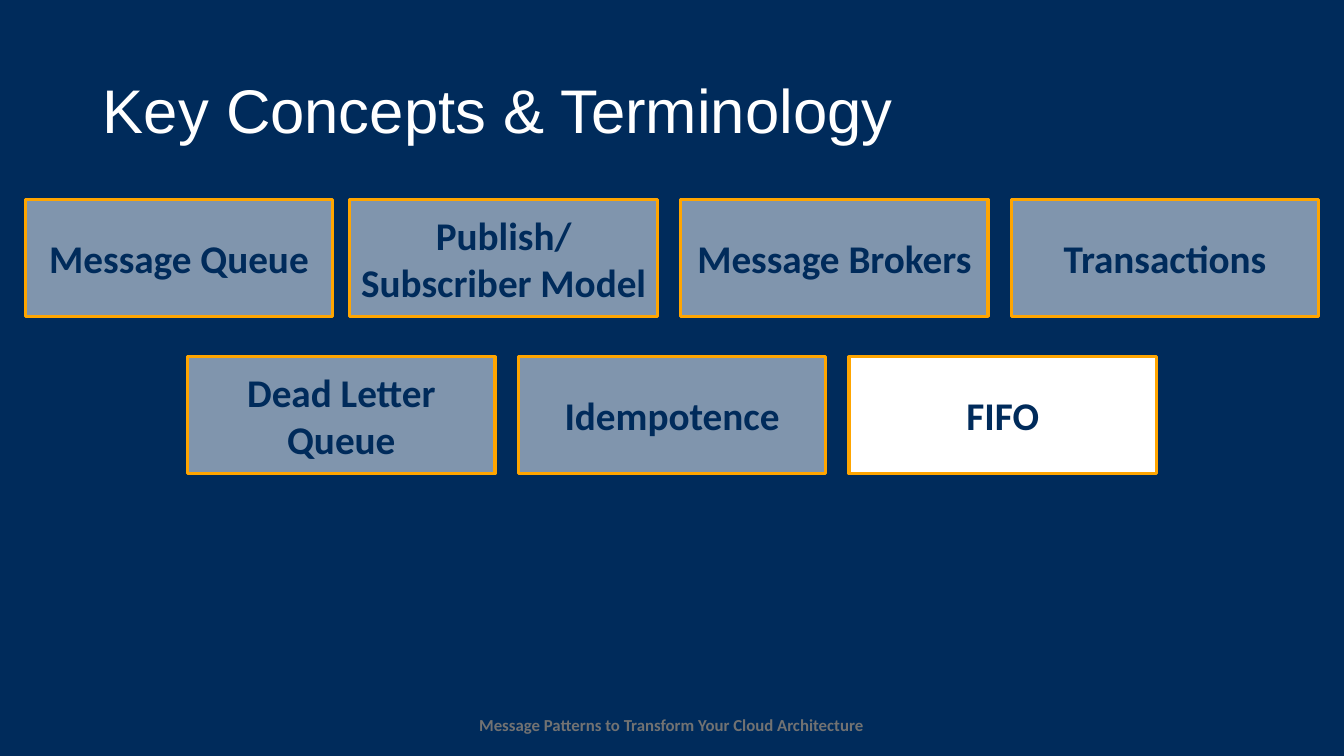
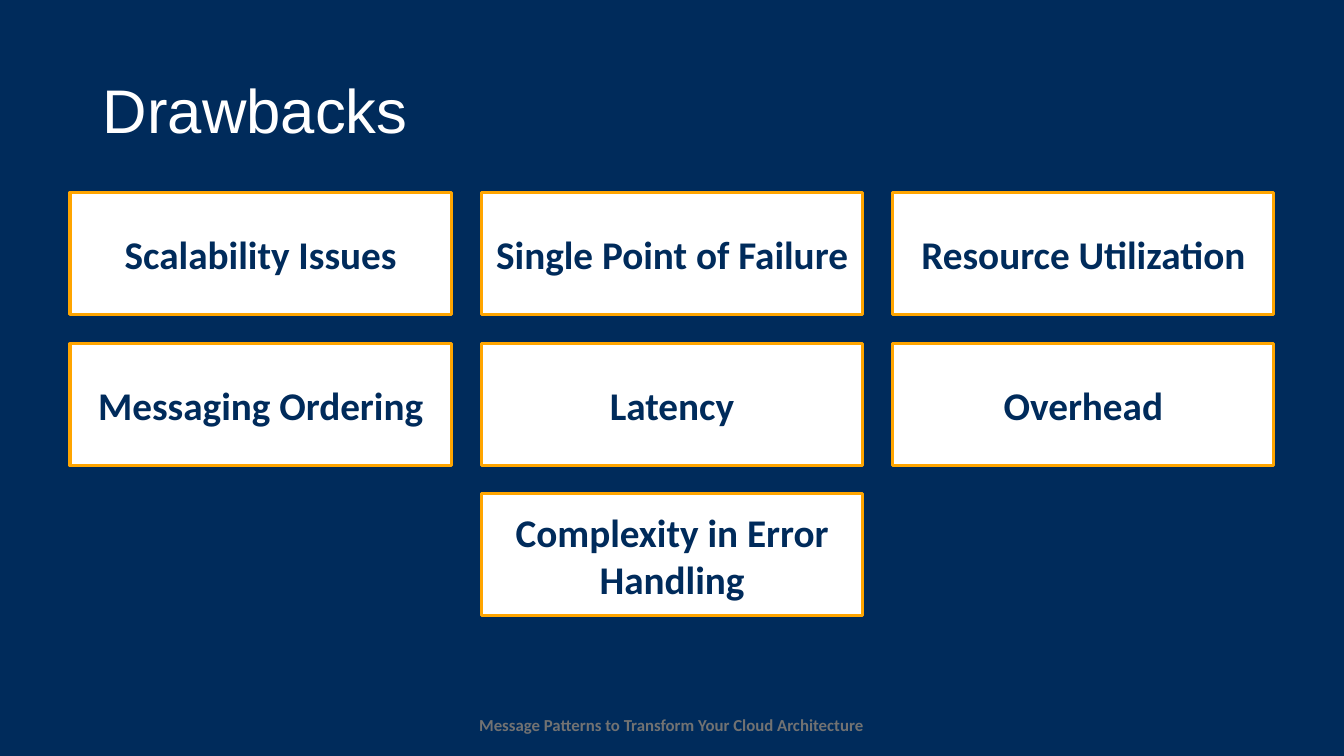
from dataclasses import dataclass
from typing import Optional

from lxml.etree import SubElement
from pptx import Presentation
from pptx.dml.color import RGBColor
from pptx.enum.shapes import MSO_SHAPE
from pptx.enum.text import MSO_ANCHOR, MSO_AUTO_SIZE, PP_ALIGN
from pptx.oxml.ns import qn
from pptx.presentation import Presentation as Deck
from pptx.shapes.autoshape import Shape
from pptx.slide import Slide
from pptx.text.text import TextFrame
from pptx.util import Inches, Pt

PAGE_WIDTH, PAGE_HEIGHT = 13.33, 7.5
NAVY, WHITE, ORANGE, GREY = "002B5B", "FFFFFF", "FFA500", "727272"
FOOTER = "Message Patterns to Transform Your Cloud Architecture"


@dataclass(frozen=True)
class CardStyle:
    width: float
    height: float
    gap: float


@dataclass(frozen=True)
class CardRow:
    top: float
    labels: tuple[str, ...]
    left: Optional[float] = None  # centred on the page when not given


@dataclass(frozen=True)
class Page:
    title: str
    style: CardStyle
    rows: tuple[CardRow, ...]
    dimmed: frozenset[str] = frozenset()


PAGES = (
    Page(
        "Key Concepts & Terminology",
        CardStyle(3.05, 1.16, 0.23),
        (
            CardRow(1.98, ("Message Queue",), left=0.25),
            CardRow(1.98, ("Publish/ Subscriber Model", "Message Brokers", "Transactions"), left=3.47),
            CardRow(3.54, ("Dead Letter Queue", "Idempotence", "FIFO")),
        ),
        frozenset({
            "Message Queue", "Publish/ Subscriber Model", "Message Brokers",
            "Transactions", "Dead Letter Queue", "Idempotence",
        }),
    ),
    Page(
        "Drawbacks",
        CardStyle(3.78, 1.21, 0.3),
        (
            CardRow(1.91, ("Scalability Issues", "Single Point of Failure", "Resource Utilization")),
            CardRow(3.41, ("Messaging Ordering", "Latency", "Overhead")),
            CardRow(4.9, ("Complexity in Error Handling",)),
        ),
    ),
)


def rgb(value: str) -> RGBColor:
    return RGBColor.from_string(value)


def write(frame: TextFrame, text: str, size: float, color: str, font: str = "Calibri",
          bold: bool = True, align: PP_ALIGN = PP_ALIGN.CENTER) -> None:
    para = frame.paragraphs[0]
    para.alignment = align
    span = para.add_run()
    span.text = text
    span.font.name = font
    span.font.size = Pt(size)
    span.font.bold = bold
    span.font.color.rgb = rgb(color)


def set_opacity(shape: Shape, percent: int) -> None:
    color = shape.fill._xPr.find(qn("a:solidFill"))[0]
    SubElement(color, qn("a:alpha")).set("val", str(percent * 1000))


def add_title(slide: Slide, text: str) -> None:
    title = slide.shapes.title
    title.left, title.top = Inches(0.92), Inches(0.4)
    title.width, title.height = Inches(11.5), Inches(1.45)
    frame = title.text_frame
    frame.auto_size = MSO_AUTO_SIZE.NONE
    frame.vertical_anchor = MSO_ANCHOR.MIDDLE
    write(frame, text, 44, WHITE, "Arial", False, PP_ALIGN.LEFT)
    frame.paragraphs[0].line_spacing = 0.9


def add_footer(slide: Slide) -> None:
    box = slide.shapes.add_textbox(Inches(4.63), Inches(7.04), Inches(4.06), Inches(0.3))
    box.text_frame.word_wrap = False
    box.text_frame.auto_size = MSO_AUTO_SIZE.SHAPE_TO_FIT_TEXT
    write(box.text_frame, FOOTER, 12, GREY)


def add_card(slide: Slide, label: str, left: float, top: float,
             style: CardStyle, dimmed: bool) -> None:
    card = slide.shapes.add_shape(
        MSO_SHAPE.RECTANGLE, Inches(left), Inches(top), Inches(style.width), Inches(style.height)
    )
    card.shadow.inherit = False
    card.fill.solid()
    card.fill.fore_color.rgb = rgb(WHITE)
    if dimmed:
        set_opacity(card, 50)
    card.line.color.rgb = rgb(ORANGE)
    card.line.width = Pt(2.25)
    card.text_frame.word_wrap = True
    card.text_frame.vertical_anchor = MSO_ANCHOR.MIDDLE
    write(card.text_frame, label, 28, NAVY)


def add_row(slide: Slide, row: CardRow, page: Page) -> None:
    step = page.style.width + page.style.gap
    left = row.left
    if left is None:
        left = (PAGE_WIDTH - len(row.labels) * step + page.style.gap) / 2
    for column, label in enumerate(row.labels):
        add_card(slide, label, left + column * step, row.top, page.style, label in page.dimmed)


def add_page(deck: Deck, page: Page) -> None:
    slide = deck.slides.add_slide(deck.slide_layouts.get_by_name("Title Only"))
    add_footer(slide)
    add_title(slide, page.title)
    for row in page.rows:
        add_row(slide, row, page)


def main() -> None:
    deck = Presentation()
    deck.slide_width, deck.slide_height = Inches(PAGE_WIDTH), Inches(PAGE_HEIGHT)

    # Shared background
    background = deck.slide_master.background.fill
    background.solid()
    background.fore_color.rgb = rgb(NAVY)

    for page in PAGES:
        add_page(deck, page)
    deck.save("out.pptx")


if __name__ == "__main__":
    main()
